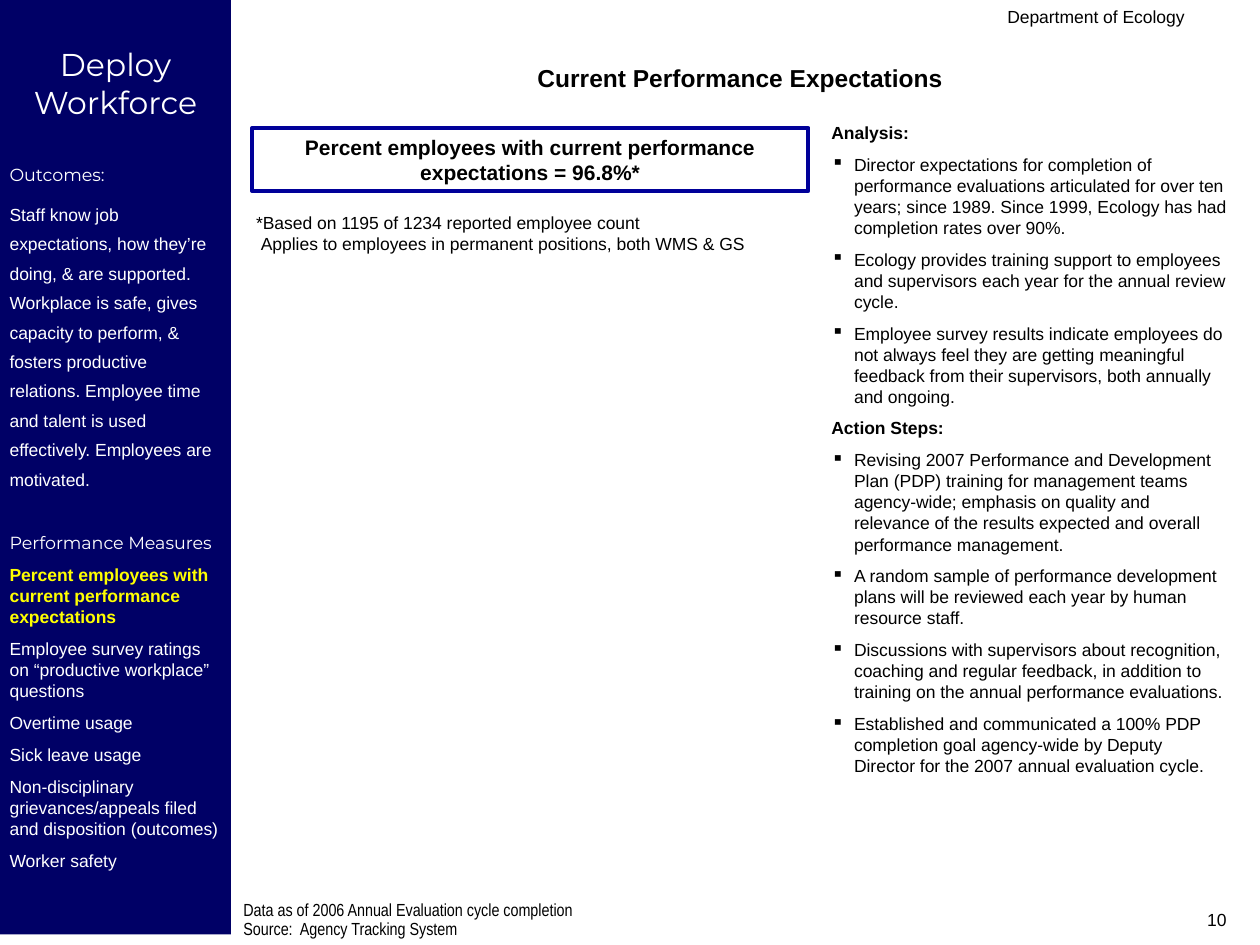
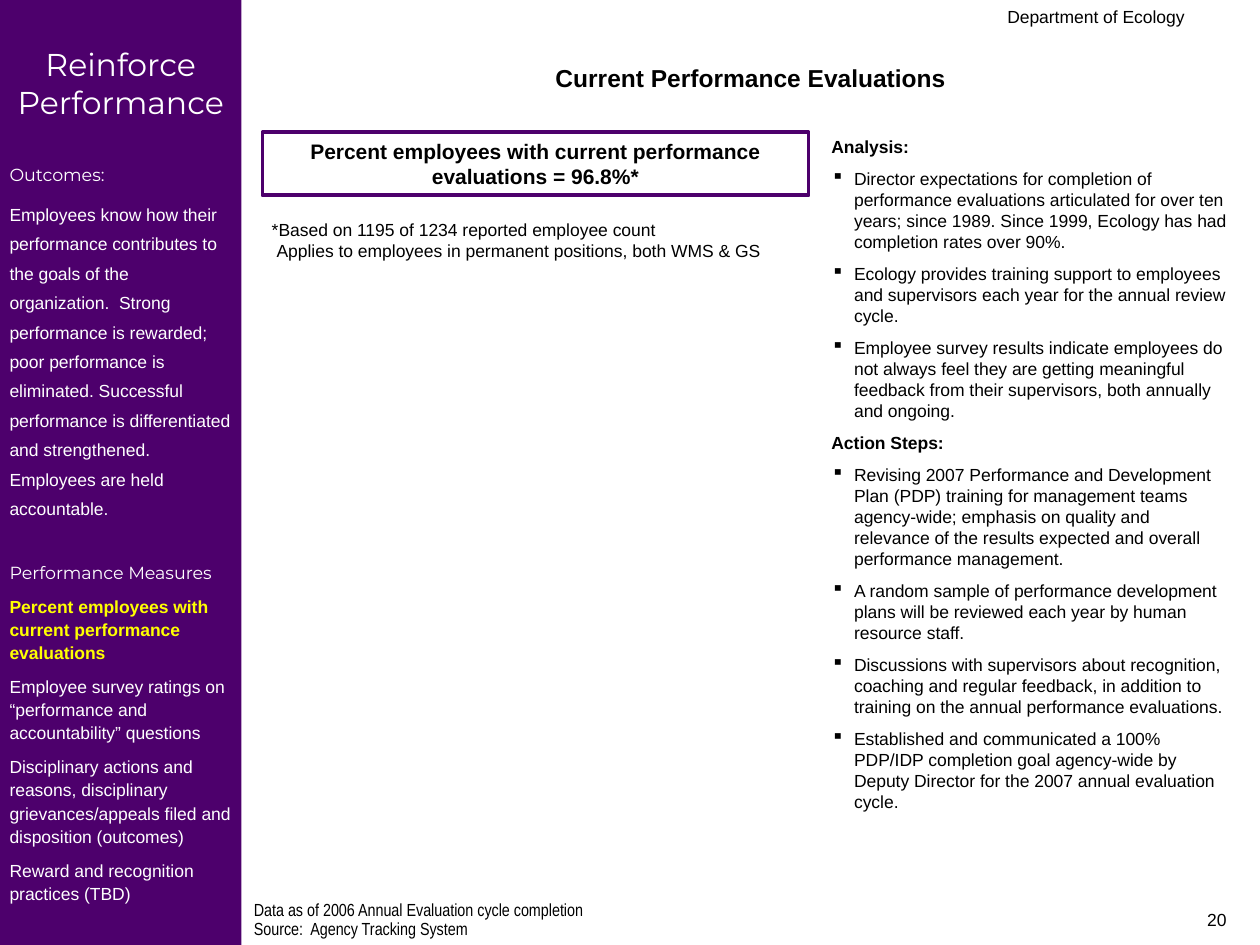
from dataclasses import dataclass

from lxml.etree import SubElement
from pptx import Presentation
from pptx.dml.color import RGBColor
from pptx.enum.shapes import MSO_SHAPE
from pptx.enum.text import MSO_ANCHOR, MSO_AUTO_SIZE, PP_ALIGN
from pptx.oxml.ns import qn
from pptx.util import Inches, Pt

# The slide is a grid of 120 columns by 90 rows of square cells.
SLIDE_WIDTH, SLIDE_HEIGHT = Inches(10), Inches(7.5)
COLUMNS, ROWS = 120, 90
CELL = SLIDE_WIDTH / COLUMNS

BLACK, WHITE, YELLOW = "000000", "FFFFFF", "FFFF00"
HANGING = 2.16
PADDING = (1.2, 0.6)
SIDEBAR_PADDING = (0.91, 4.3)
CALLOUT_RIGHT = 77


def style(color=BLACK, name="Arial", size=10, bold=False, **paragraph):
    return {"color": color,
            "font": {"name": name, "size": Pt(size), "bold": bold},
            "paragraph": paragraph}


BODY = style(space_before=Pt(6.2))
BODY_HEADING = style(bold=True, space_before=Pt(6.2))
CORNER = style(alignment=PP_ALIGN.RIGHT)
TITLE = style(size=14, bold=True, alignment=PP_ALIGN.CENTER)
CALLOUT = style(size=12, bold=True)
SOURCE = style(name="Arial Narrow", space_before=Pt(2.5), line_spacing=0.7)
STAGE = style(WHITE, "Montserrat", 18, alignment=PP_ALIGN.CENTER)
SIDEBAR_HEADING = style(WHITE, "Montserrat", space_before=Pt(24.5))
OUTCOMES = style(WHITE, space_before=Pt(6.2), line_spacing=1.4)

NOTE = ["*Based on 1195 of 1234 reported employee count",
        "Applies to employees in permanent positions, both WMS & GS"]
SOURCES = ["Data as of 2006 Annual Evaluation cycle completion",
           "Source:  Agency Tracking System"]
ANALYSIS = [
    "Director expectations for completion of performance evaluations "
    "articulated for over ten years; since 1989. Since 1999, Ecology has had "
    "completion rates over 90%.",
    "Ecology provides training support to employees and supervisors each year "
    "for the annual review cycle.",
    "Employee survey results indicate employees do not always feel they are "
    "getting meaningful feedback from their supervisors, both annually and "
    "ongoing.",
]
ACTION_STEPS = [
    "Revising 2007 Performance and Development Plan (PDP) training for "
    "management teams agency-wide; emphasis on quality and relevance of the "
    "results expected and overall performance management.",
    "A random sample of performance development plans will be reviewed each "
    "year by human resource staff.",
    "Discussions with supervisors about recognition, coaching and regular "
    "feedback, in addition to training on the annual performance evaluations.",
    "Established and communicated a 100% {plan} completion goal agency-wide by "
    "Deputy Director for the 2007 annual evaluation cycle.",
]


@dataclass
class Report:
    """Wording of one slide, and the grid places that differ between slides."""
    number: str
    stage: str
    topic: str
    plan: str
    outcomes: str
    measures: list
    sidebar_color: str
    frame_color: str
    sidebar_width: float
    sidebar_height: float
    title_left: float
    callout_top: float
    note_at: tuple
    findings_top: float
    measure_spacing: float


REPORTS = [
    Report(
        number="10", stage="Deploy Workforce", topic="expectations", plan="PDP",
        outcomes="Staff know job expectations, how they’re doing, & are "
                 "supported. Workplace is safe, gives capacity to perform, & "
                 "fosters productive relations. Employee time and talent is "
                 "used effectively. Employees are motivated.",
        measures=["Employee survey ratings on “productive workplace” questions",
                  "Overtime usage",
                  "Sick leave usage",
                  "Non-disciplinary grievances/appeals filed and disposition "
                  "(outcomes)",
                  "Worker safety"],
        sidebar_color="000066", frame_color="000099",
        sidebar_width=22, sidebar_height=89, title_left=22, callout_top=12.2,
        note_at=(23.2, 19.6), findings_top=11, measure_spacing=1.0),
    Report(
        number="20", stage="Reinforce Performance", topic="evaluations",
        plan="PDP/IDP",
        outcomes="Employees know how their performance contributes to the "
                 "goals of the organization.  Strong performance is rewarded; "
                 "poor performance is eliminated. Successful performance is "
                 "differentiated and strengthened. Employees are held "
                 "accountable.",
        measures=["Employee survey ratings on “performance and accountability” "
                  "questions",
                  "Disciplinary actions and reasons, disciplinary "
                  "grievances/appeals filed and disposition (outcomes)",
                  "Reward and recognition practices (TBD)"],
        sidebar_color="4D006C", frame_color="4D006C",
        sidebar_width=23, sidebar_height=ROWS, title_left=24, callout_top=12.6,
        note_at=(24.7, 20.3), findings_top=12.4, measure_spacing=1.1),
]


def rgb(color):
    return RGBColor.from_string(color)


def cells(*counts):
    return [round(count * CELL) for count in counts]


def apply(target, values):
    for name, value in values.items():
        setattr(target, name, value)


def indent(paragraph, left, first=0, bullet=None):
    properties = paragraph._p.get_or_add_pPr()
    for name, length in zip(("marL", "indent"), cells(left, first)):
        properties.set(name, str(length))
    if bullet:
        SubElement(properties, qn("a:buChar"), char=bullet)


def write(frame, lines, padding=PADDING):
    """Fill a text frame with (text, style) lines; return its paragraphs."""
    across, down = cells(*padding)
    apply(frame, {"word_wrap": True, "auto_size": MSO_AUTO_SIZE.NONE,
                  "vertical_anchor": MSO_ANCHOR.TOP,
                  "margin_left": across, "margin_right": across,
                  "margin_top": down, "margin_bottom": cells(PADDING[1])[0]})
    for position, (text, look) in enumerate(lines):
        paragraph = frame.add_paragraph() if position else frame.paragraphs[0]
        run = paragraph.add_run()
        run.text = text
        apply(paragraph, look["paragraph"])
        if not position:
            paragraph.space_before = Pt(0)
        apply(run.font, look["font"])
        run.font.color.rgb = rgb(look["color"])
    return frame.paragraphs


def add_text(slide, place, lines):
    return write(slide.shapes.add_textbox(*cells(*place)).text_frame, lines)


def add_panel(slide, place, lines, fill=None, frame=None, padding=PADDING):
    panel = slide.shapes.add_shape(MSO_SHAPE.RECTANGLE, *cells(*place))
    panel.shadow.inherit = False
    if fill:
        panel.fill.solid()
        panel.fill.fore_color.rgb = rgb(fill)
    else:
        panel.fill.background()
    if frame:
        panel.line.color.rgb = rgb(frame)
        panel.line.width = Pt(2.25)
    else:
        panel.line.fill.background()
    for paragraph in write(panel.text_frame, lines, padding):
        paragraph.alignment = paragraph.alignment or PP_ALIGN.LEFT


def add_title(slide, report):
    left = report.title_left
    title = slide.shapes.title
    places = cells(left, 5.4, 119 - left, 4.1)
    apply(title, dict(zip(("left", "top", "width", "height"), places)))
    write(title.text_frame,
          [(f"Current Performance {report.topic.title()}", TITLE)])


def add_sidebar(slide, report):
    spacing = {"space_before": Pt(6.2), "line_spacing": report.measure_spacing}
    current = style(YELLOW, bold=True, **spacing)
    other = style(WHITE, **spacing)
    lines = [(report.stage, STAGE),
             ("Outcomes:", SIDEBAR_HEADING),
             (report.outcomes, OUTCOMES),
             ("Performance Measures", SIDEBAR_HEADING),
             (f"Percent employees with current performance {report.topic}",
              current)]
    lines += [(measure, other) for measure in report.measures]
    add_panel(slide, (0, 0, report.sidebar_width, report.sidebar_height), lines,
              fill=report.sidebar_color, padding=SIDEBAR_PADDING)


def add_findings(slide, report):
    lines = []
    for heading, points in (("Analysis:", ANALYSIS),
                            ("Action Steps:", ACTION_STEPS)):
        lines.append((heading, BODY_HEADING))
        lines += [(point.format(plan=report.plan), BODY) for point in points]
    paragraphs = add_text(slide, (78, report.findings_top, 40, 65), lines)
    for paragraph, (_, look) in zip(paragraphs, lines):
        indent(paragraph, HANGING, -HANGING, "▪" if look is BODY else None)


def add_result(slide, report):
    """Framed headline figure with the note on its basis."""
    left = report.sidebar_width + 2
    headline = ("Percent employees with current performance "
                f"{report.topic} = 96.8%*")
    add_panel(slide, (left, report.callout_top, CALLOUT_RIGHT - left, 6),
              [(headline, CALLOUT)], frame=report.frame_color)
    basis, scope = add_text(slide, (*report.note_at, 50, 5.3),
                            [(line, style()) for line in NOTE])
    indent(scope, 0.46)


def add_corners(slide, report):
    add_text(slide, (54, 0, 60, 3), [("Department of Ecology", CORNER)])
    add_text(slide, (90, 86, 28, 4), [(report.number, CORNER)])
    add_text(slide, (report.sidebar_width, 85.6, 58, 4.4),
             [(line, SOURCE) for line in SOURCES])


def main():
    deck = Presentation()
    deck.slide_width, deck.slide_height = SLIDE_WIDTH, SLIDE_HEIGHT
    title_only = deck.slide_layouts[5]
    for report in REPORTS:
        slide = deck.slides.add_slide(title_only)
        for add_part in (add_sidebar, add_title, add_result, add_findings,
                         add_corners):
            add_part(slide, report)
    deck.save("out.pptx")


if __name__ == "__main__":
    main()
